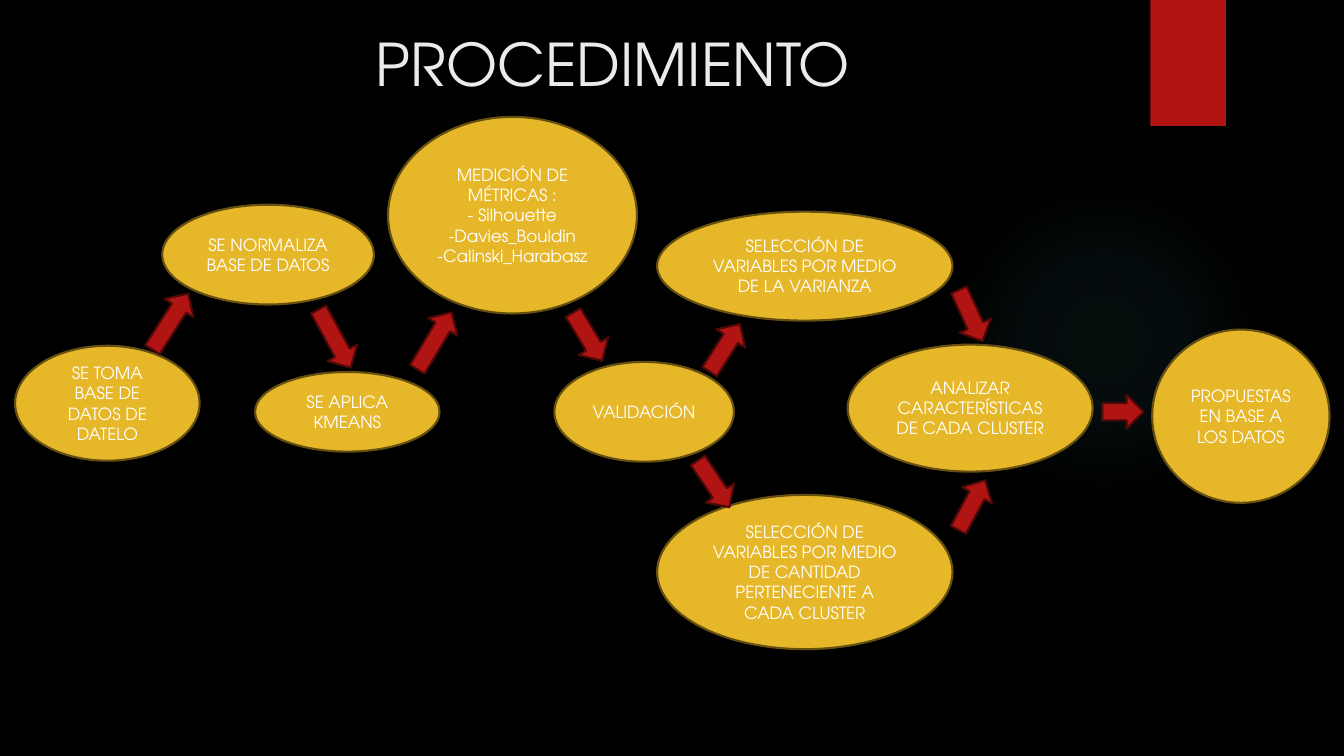
"""Build the procedure slide: a flow of ellipses joined by block arrows."""
from lxml import etree
from pptx import Presentation
from pptx.dml.color import RGBColor
from pptx.enum import shapes, text
from pptx.oxml import ns
from pptx.util import Pt

BLACK = RGBColor(0x00, 0x00, 0x00)
RED = RGBColor(0xB0, 0x15, 0x13)
DARK_RED = RGBColor(0x4D, 0x09, 0x08)
GOLD = RGBColor(0xE6, 0xB7, 0x29)
DARK_GOLD = RGBColor(0x65, 0x50, 0x12)
WHITE = RGBColor(0xFF, 0xFF, 0xFF)
PALE = RGBColor(0xEB, 0xEB, 0xEB)
TEAL = RGBColor(0x50, 0xB9, 0xC1)

FONT = "TeX Gyre Adventor"
TITLE_FORMAT = {"name": FONT, "size": Pt(42)}
STEP_FORMAT = {"name": FONT, "size": Pt(12)}
ARROW_WIDTH = 24.5
GLOW_STOPS = ((0, 7), (36, 6), (69, 0))

STEPS = (
    ("SE TOMA BASE DE DATOS DE DATELO", 0.8, 167, 131.8, 82.1),
    ("SE NORMALIZA BASE DE DATOS", 105.9, 66.2, 151.2, 71.3),
    ("SE APLICA KMEANS", 172.2, 185.7, 131.8, 56.9),
    ("MEDICIÓN DE MÉTRICAS :\n- Silhouette\n-Davies_Bouldin\n-Calinski_Harabasz",
     267.2, 3.5, 177.8, 140.4),
    ("VALIDACIÓN", 386, 178.5, 128.2, 71.3),
    ("SELECCIÓN DE VARIABLES POR MEDIO DE LA VARIANZA", 459.4, 71.2, 211, 77.8),
    ("SELECCIÓN DE VARIABLES POR MEDIO DE CANTIDAD PERTENECIENTE A CADA CLUSTER",
     459.4, 273.5, 211, 110.2),
    ("ANALIZAR CARACTERÍSTICAS DE CADA CLUSTER", 595.5, 166.2, 175, 90.7),
    ("PROPUESTAS EN BASE A LOS DATOS", 813, 155.4, 126.7, 123.8),
)
ARROWS = (
    (111.7, 149.7, 47.5, 212.6),
    (229, 161.9, 47.5, 331.1),
    (300.3, 163.4, 47.5, 211),
    (409.8, 160.5, 40.3, 328.9),
    (507.7, 168.4, 40.3, 212.5),
    (499.8, 265.6, 40.3, 326),
    (683.4, 145.4, 40.3, 335.4),
    (684.1, 280.7, 40.3, 208.4),
    (792.1, 214.1, 29.5, 270),
)


def set_font(paragraph, values, color):
    """Apply font values and a colour to a paragraph."""
    for name, value in values.items():
        setattr(paragraph.font, name, value)
    paragraph.font.color.rgb = color


def add_figure(slide, kind, box, fill, line=None):
    """Add a flat preset shape, outlined when a line colour is given."""
    shape = slide.shapes.add_shape(kind, *(Pt(length) for length in box))
    shape.shadow.inherit = False
    shape.fill.solid()
    shape.fill.fore_color.rgb = fill
    if line is None:
        shape.line.fill.background()
    else:
        shape.line.color.rgb = line
        shape.line.width = Pt(1.5)
    return shape


def add_glow(slide, box):
    """Add a faint round glow that fades towards its edge."""
    glow = add_figure(slide, shapes.MSO_SHAPE.OVAL, box, TEAL)
    solid = glow.fill._xPr.find(ns.qn("a:solidFill"))
    gradient = etree.Element(ns.qn("a:gradFill"), rotWithShape="1")
    stops = etree.SubElement(gradient, ns.qn("a:gsLst"))
    for position, opacity in GLOW_STOPS:
        stop = etree.SubElement(stops, ns.qn("a:gs"), pos=str(position * 1000))
        color = etree.SubElement(stop, ns.qn("a:srgbClr"), val=str(TEAL))
        etree.SubElement(color, ns.qn("a:alpha"), val=str(opacity * 1000))
    circle = etree.SubElement(gradient, ns.qn("a:path"), {"path": "circle"})
    etree.SubElement(circle, ns.qn("a:fillToRect"),
                     dict.fromkeys("ltrb", "50000"))
    solid.getparent().replace(solid, gradient)


def add_title(slide, box):
    """Add the slide title in the given box."""
    title = slide.shapes.add_textbox(*(Pt(length) for length in box))
    title.text_frame.word_wrap = True
    title.text_frame.text = "PROCEDIMIENTO"
    set_font(title.text_frame.paragraphs[0], TITLE_FORMAT, PALE)


def add_flow(slide, left, top):
    """Add the steps and the arrows between them from a top left corner."""
    for wording, x, y, width, height in STEPS:
        step = add_figure(slide, shapes.MSO_SHAPE.OVAL,
                          (left + x, top + y, width, height), GOLD, DARK_GOLD)
        step.text_frame.text = wording
        step.text_frame.vertical_anchor = text.MSO_ANCHOR.MIDDLE
        for paragraph in step.text_frame.paragraphs:
            paragraph.alignment = text.PP_ALIGN.CENTER
            set_font(paragraph, STEP_FORMAT, WHITE)
    for x, y, length, rotation in ARROWS:
        box = (left + x - ARROW_WIDTH / 2, top + y - length / 2, ARROW_WIDTH, length)
        arrow = add_figure(slide, shapes.MSO_SHAPE.DOWN_ARROW, box, RED, DARK_RED)
        arrow.rotation = rotation


def main():
    """Build and save the presentation."""
    presentation = Presentation()
    presentation.slide_width, presentation.slide_height = Pt(960), Pt(540)
    slide = presentation.slides.add_slide(presentation.slide_layouts[6])
    slide.background.fill.solid()
    slide.background.fill.fore_color.rgb = BLACK
    add_glow(slide, (677.5, 131.8, 221.8, 221.8))
    add_figure(slide, shapes.MSO_SHAPE.RECTANGLE, (821.7, 0, 54, 90), RED)
    add_title(slide, (261.4, 16.3, 380.2, 56.2))
    add_flow(slide, 10, 80)
    presentation.save("out.pptx")


if __name__ == "__main__":
    main()
